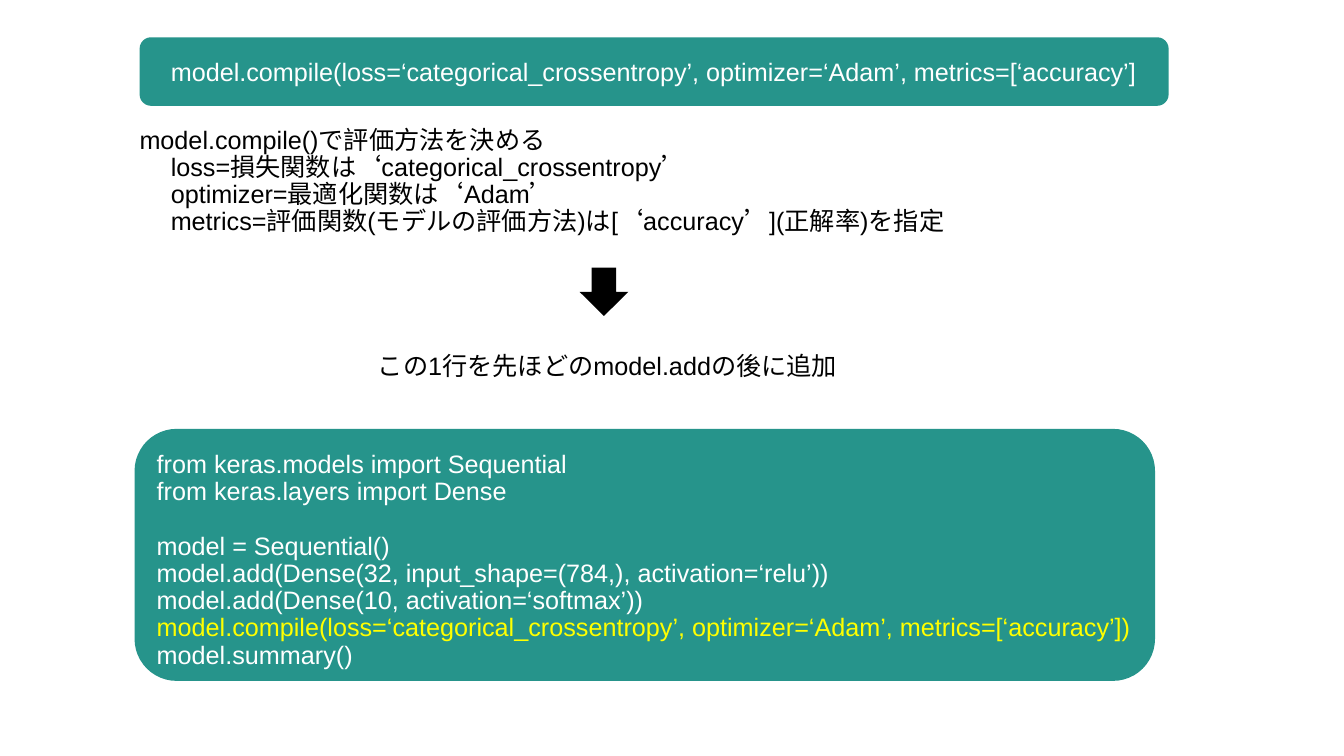
from pptx import Presentation
from pptx.dml.color import RGBColor
from pptx.enum.shapes import MSO_SHAPE
from pptx.enum.text import MSO_ANCHOR, PP_ALIGN
from pptx.util import Pt

PX = 9144  # EMU, 100 px to the inch
TEAL = RGBColor(0x26, 0x94, 0x8B)
WHITE = RGBColor(0xFF, 0xFF, 0xFF)
YELLOW = RGBColor(0xFF, 0xFF, 0x00)
BLACK = RGBColor(0x00, 0x00, 0x00)

BODY_FONT = {"name": "Arial", "size": Pt(36)}
LINE_FORMAT = {"line_spacing": 0.9, "alignment": PP_ALIGN.LEFT,
               "space_before": Pt(0), "space_after": Pt(0)}
CODE_FRAME = {"vertical_anchor": MSO_ANCHOR.MIDDLE,
              "margin_left": 6 * PX, "margin_right": 6 * PX,
              "margin_top": 6 * PX, "margin_bottom": 6 * PX}
NOTE_FRAME = {"vertical_anchor": MSO_ANCHOR.TOP}
BLANK_LINE = Pt(39)
INDENT = 62 * PX

COMPILE_CALL = ("model.compile(loss=‘categorical_crossentropy’, "
                "optimizer=‘Adam’, metrics=[‘accuracy’]")
IMPORTS = ["from keras.models import Sequential",
           "from keras.layers import Dense"]
MODEL_CODE = ["model = Sequential()",
              "model.add(Dense(32, input_shape=(784,), activation=‘relu’))",
              "model.add(Dense(10, activation=‘softmax’))",
              COMPILE_CALL + ")",
              "model.summary()"]
COMPILE_NOTE = ["model.compile()で評価方法を決める",
                "loss=損失関数は‘categorical_crossentropy’",
                "optimizer=最適化関数は‘Adam’",
                "metrics=評価関数(モデルの評価方法)は[‘accuracy’](正解率)を指定"]


def apply(target, values):
    for name, value in values.items():
        setattr(target, name, value)


def to_emu(box):
    return [length * PX for length in box]


def add_filled_shape(slide, preset, box, color):
    shape = slide.shapes.add_shape(preset, *to_emu(box))
    shape.shadow.inherit = False
    shape.fill.solid()
    shape.fill.fore_color.rgb = color
    shape.line.fill.background()


def add_lines(slide, box, lines, color, frame_format):
    """Add a text box with one paragraph per line and return its paragraphs."""
    frame = slide.shapes.add_textbox(*to_emu(box)).text_frame
    frame.word_wrap = True
    apply(frame, frame_format)
    frame.text = "\n".join(lines)
    for paragraph in frame.paragraphs:
        apply(paragraph, LINE_FORMAT)
        font = paragraph.runs[0].font
        apply(font, BODY_FONT)
        font.color.rgb = color
    return frame.paragraphs


def add_full_code(slide):
    add_filled_shape(slide, MSO_SHAPE.ROUNDED_RECTANGLE, (267, 851, 2025, 500), TEAL)
    code = add_lines(slide, (305, 889, 2085, 447), IMPORTS + MODEL_CODE,
                     WHITE, CODE_FRAME)
    code[len(IMPORTS)].space_before = BLANK_LINE
    added_line = code[len(IMPORTS) + MODEL_CODE.index(COMPILE_CALL + ")")]
    added_line.runs[0].font.color.rgb = YELLOW


def add_compile_call(slide):
    add_filled_shape(slide, MSO_SHAPE.ROUNDED_RECTANGLE, (277, 74, 2042, 136), TEAL)
    add_lines(slide, (333, 112, 2007, 66), [COMPILE_CALL], WHITE, CODE_FRAME)


def add_explanation(slide):
    heading, *arguments = add_lines(slide, (267, 248, 1812, 283), COMPILE_NOTE,
                                    BLACK, NOTE_FRAME)
    for argument in arguments:
        properties = argument._p.get_or_add_pPr()
        properties.set("marL", str(INDENT))
        properties.set("indent", "0")
    add_filled_shape(slide, MSO_SHAPE.DOWN_ARROW, (1150, 531, 97, 96), BLACK)
    add_lines(slide, (740, 697, 1014, 65),
              ["この1行を先ほどのmodel.addの後に追加"], BLACK, NOTE_FRAME)


def main():
    presentation = Presentation()
    presentation.slide_width = 2667 * PX
    presentation.slide_height = 1500 * PX
    slide = presentation.slides.add_slide(presentation.slide_layouts[6])
    add_full_code(slide)
    add_compile_call(slide)
    add_explanation(slide)
    presentation.save("out.pptx")


if __name__ == "__main__":
    main()
